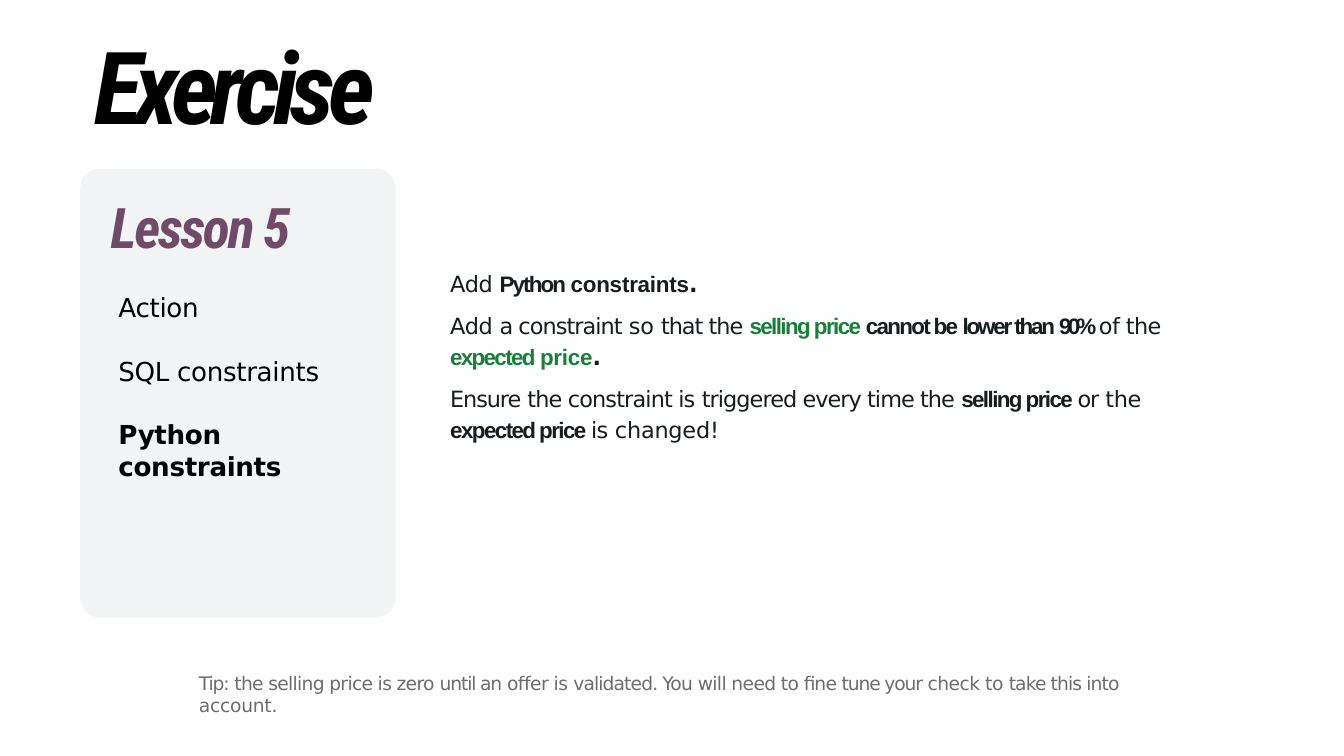
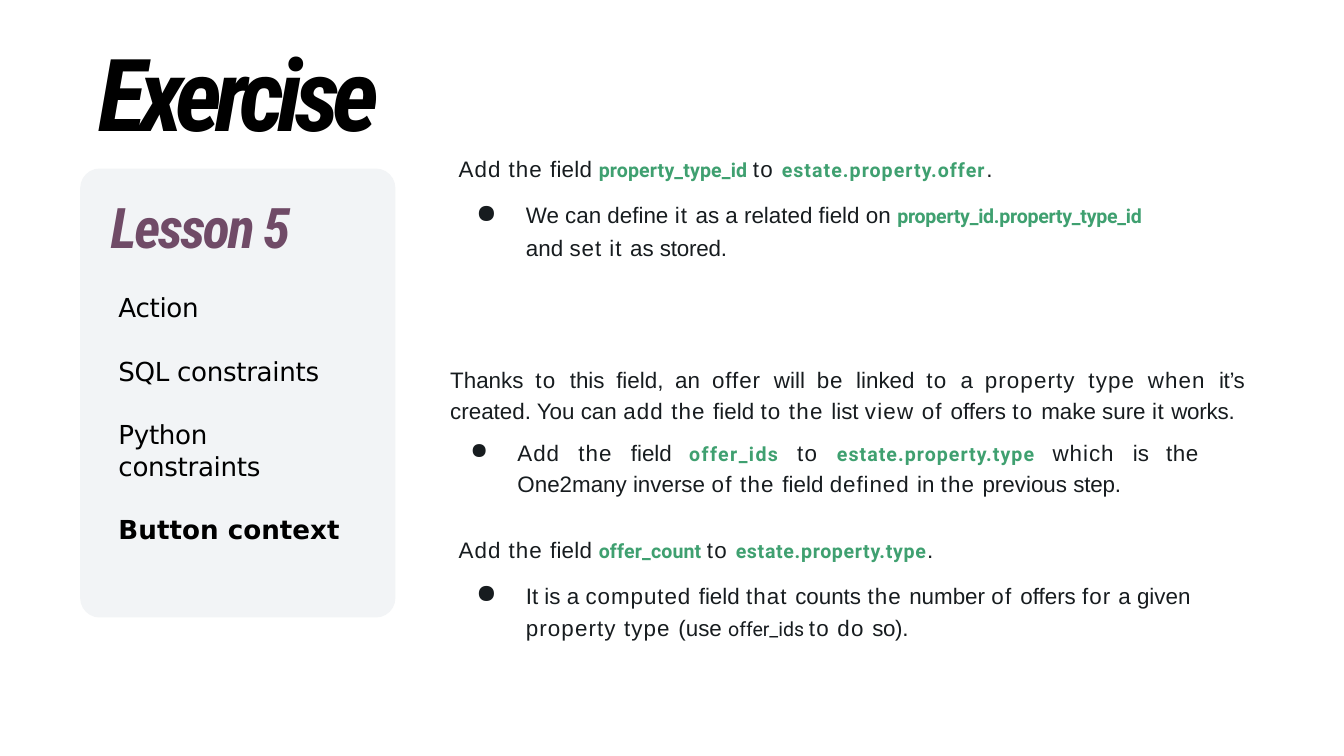
from dataclasses import dataclass

from lxml.etree import SubElement
from pptx import Presentation
from pptx.dml.color import RGBColor
from pptx.enum.shapes import MSO_SHAPE as Preset
from pptx.enum.text import MSO_AUTO_SIZE as AutoSize, PP_ALIGN as Align
from pptx.oxml.ns import qn
from pptx.util import Cm, Pt

# Shared colours and fonts
BLACK = RGBColor(0x00, 0x00, 0x00)
INK = RGBColor(0x17, 0x1C, 0x1F)
GREY = RGBColor(0x6B, 0x6D, 0x70)
PLUM = RGBColor(0x70, 0x4B, 0x67)
GREEN = RGBColor(0x17, 0x80, 0x38)
MINT = RGBColor(0x3F, 0xA0, 0x70)
PANEL = RGBColor(0xF2, 0xF4, 0xF6)
SANS, ARIAL, ROBOTO, CONDENSED = "DejaVu Sans", "Arial", "Roboto", "Roboto Condensed"


@dataclass(frozen=True)
class Style:
    font: str
    size: float
    color: RGBColor
    bold: bool = False
    italic: bool = False


@dataclass(frozen=True)
class Piece:
    text: str
    style: Style
    tracking: float = 0


@dataclass(frozen=True)
class Para:
    pieces: list[Piece]
    left: float = 0.03
    first: float = 0
    right: float = 0
    before: float = 0
    line: float | None = None
    bullet: int = 0  # bullet size in percent, 0 for none
    align: Align | None = None


@dataclass(frozen=True)
class Box:
    left: float
    top: float
    width: float
    height: float
    inset: float = 0.03


TITLE = Style(CONDENSED, 54, BLACK, True, True)
LESSON = Style(CONDENSED, 30, PLUM, True, True)
TOPIC = Style(SANS, 14, BLACK)
CURRENT_TOPIC = Style(SANS, 14, BLACK, True)
TIP = Style(SANS, 10, GREY)
PLAIN = Style(SANS, 12, INK)
STOP = Style(SANS, 12, INK, True)
STRONG = Style(ARIAL, 12, INK, True)
FIELD = Style(ARIAL, 12, GREEN, True)
BODY = Style(ARIAL, 12, INK)
CODE = Style(ROBOTO, 10.5, MINT, True)
DARK_CODE = Style(ROBOTO, 10.5, INK)


def add_paragraph(paragraph, para: Para) -> None:
    paragraph.alignment = para.align
    if para.before:
        paragraph.space_before = Pt(para.before)
    if para.line:
        paragraph.line_spacing = para.line
    properties = paragraph._p.get_or_add_pPr()
    properties.set("marL", str(Cm(para.left)))
    properties.set("marR", str(Cm(para.right)))
    properties.set("indent", str(Cm(para.first)))
    if para.bullet:
        SubElement(properties, qn("a:buSzPct"), val=str(para.bullet * 1000))
        SubElement(properties, qn("a:buChar"), char="●")
        tabs = SubElement(properties, qn("a:tabLst"))
        SubElement(tabs, qn("a:tab"), pos=str(Cm(para.left)), algn="l")
    for piece in para.pieces:
        run = paragraph.add_run()
        run.text = piece.text
        font = run.font
        font.name, font.size = piece.style.font, Pt(piece.style.size)
        font.bold, font.italic = piece.style.bold, piece.style.italic
        font.color.rgb = piece.style.color
        run._r.get_or_add_rPr().set("spc", str(round(piece.tracking * 100)))


def add_text(slide, box: Box, paras: list[Para]) -> None:
    shape = slide.shapes.add_textbox(Cm(box.left), Cm(box.top), Cm(box.width), Cm(box.height))
    frame = shape.text_frame
    frame.word_wrap = True
    frame.auto_size = AutoSize.SHAPE_TO_FIT_TEXT
    frame.margin_left = frame.margin_right = frame.margin_bottom = 0
    frame.margin_top = Cm(box.inset)
    for index, para in enumerate(paras):
        add_paragraph(frame.add_paragraph() if index else frame.paragraphs[0], para)


def add_lesson_panel(slide, topics: list[str], height: float) -> None:
    """Rounded panel with the lesson name and its topics, the last one current."""
    panel = slide.shapes.add_shape(Preset.ROUNDED_RECTANGLE, Cm(1.53), Cm(3.2), Cm(5.93), Cm(8.46))
    panel.adjustments[0] = 0.06
    panel.shadow.inherit = False
    panel.fill.solid()
    panel.fill.fore_color.rgb = PANEL
    panel.line.color.rgb = PANEL
    panel.line.width = Pt(0.75)
    paras = [Para([Piece("Lesson 5", LESSON, -1.2)])]
    for topic in topics:
        style = CURRENT_TOPIC if topic == topics[-1] else TOPIC
        tracking = 0 if topic == "Button context" else -0.2
        paras.append(Para([Piece(topic, style, tracking)], left=0.18, before=17.2))
    add_text(slide, Box(2.06, 3.61, 4.67, height), paras)


def add_exercise(presentation, topics: list[str], panel_height: float,
                 title_left: float, title_inset: float):
    """Slide with the common title and lesson panel."""
    slide = presentation.slides.add_slide(presentation.slide_layouts[6])
    add_text(slide, Box(0.51, 0.41, 7.87, 2.46, title_inset),
             [Para([Piece("Exercise", TITLE, -3.8)], left=title_left)])
    add_lesson_panel(slide, topics, panel_height)
    return slide


def field_sentence(field: str, model: str, field_tracking: float, model_tracking: float) -> Para:
    return Para([
        Piece("Add the ", BODY, 0.55), Piece("field ", BODY, 0.1),
        Piece(f"{field} ", CODE, field_tracking), Piece("to ", BODY, 0.7),
        Piece(model, CODE, model_tracking), Piece(".", BODY),
    ])


def build_python_constraints(presentation) -> None:
    slide = add_exercise(presentation, ["Action", "SQL constraints", "Python constraints"],
                         4.95, 1.27, 0.03)
    # Task
    add_text(slide, Box(8.48, 4.06, 15.04, 4.32, 1.04), [
        Para([Piece("Add ", PLAIN, -0.2), Piece("Python ", STRONG, -1),
              Piece("constraints", STRONG, -0.1), Piece(".", STOP, -0.1)]),
        Para([Piece("Add ", PLAIN, -0.2), Piece("a constraint ", PLAIN, -0.5),
              Piece("so ", PLAIN, -0.1), Piece("that the ", PLAIN, -0.55),
              Piece("selling price ", FIELD, -0.85), Piece("cannot be ", STRONG, -0.9),
              Piece("lower than ", STRONG, -1.15), Piece("90% ", STRONG, -2),
              Piece("of the ", PLAIN, -0.3), Piece("expected ", FIELD, -0.9),
              Piece("price", FIELD, -0.1), Piece(".", STOP, -0.1)], before=6, line=1.15),
        Para([Piece("Ensure ", PLAIN, -0.6), Piece("the constraint is ", PLAIN, -0.45),
              Piece("triggered every time the ", PLAIN, -0.5),
              Piece("selling price ", STRONG, -0.85), Piece("or ", PLAIN, -0.6),
              Piece("the", PLAIN, -0.2)], before=8.2),
        Para([Piece("expected price ", STRONG, -0.85), Piece("is ", PLAIN, -0.3),
              Piece("changed!", PLAIN, -0.1)], before=2.1),
    ])
    # Tip
    add_text(slide, Box(3.73, 12.67, 19.35, 0.48), [Para([
        Piece("Tip: ", TIP, -0.6), Piece("the selling price is zero ", TIP, -0.35),
        Piece("until an ", TIP, -0.6), Piece("offer is ", TIP, -0.25),
        Piece("validated. You ", TIP, -0.45), Piece("will need to fine", TIP, -0.3),
        Piece(" tune your ", TIP, -0.6), Piece("check to ", TIP, -0.25),
        Piece("take this into ", TIP, -0.45), Piece("account.", TIP, -0.1)], right=0.5)])


def build_button_context(presentation) -> None:
    topics = ["Action", "SQL constraints", "Python constraints", "Button context"]
    slide = add_exercise(presentation, topics, 6.17, 1.35, 0.18)
    # First field
    add_text(slide, Box(8.64, 2.9, 11.05, 0.58),
             [field_sentence("property_type_id", "estate.property.offer", 0.1, 0.6)])
    add_text(slide, Box(8.97, 3.66, 14.1, 1.3, 0.15), [
        Para([Piece("We can define ", BODY), Piece("it ", BODY, 0.6),
              Piece("as a related field on ", BODY),
              Piece("property_id.property_type_id", CODE, -0.1)],
             left=0.97, first=-0.94, bullet=117),
        Para([Piece("and ", BODY), Piece("set it ", BODY, 0.55), Piece("as ", BODY),
              Piece("stored.", BODY, -0.1)], left=0.97, before=3),
    ])
    # Explanation and second field
    add_text(slide, Box(8.48, 6.81, 15.04, 4.47), [
        Para([Piece("Thanks ", BODY), Piece("to ", BODY, 0.7), Piece("this field, an ", BODY),
              Piece("offer ", BODY, 0.5), Piece("will ", BODY), Piece("be ", BODY, 0.5),
              Piece("linked ", BODY), Piece("to ", BODY, 0.7), Piece("a ", BODY),
              Piece("property type when ", BODY, 0.6), Piece("it’s ", BODY, -0.2),
              Piece("created. You can ", BODY), Piece("add the ", BODY, 0.6),
              Piece("field ", BODY), Piece("to the ", BODY, 0.65), Piece("list ", BODY),
              Piece("view of ", BODY, 0.65), Piece("offers ", BODY), Piece("to ", BODY, 0.7),
              Piece("make sure ", BODY), Piece("it ", BODY, 0.3),
              Piece("works.", BODY, -0.1)], line=1.15, align=Align.JUSTIFY),
        Para([Piece("Add the ", BODY, 0.55), Piece("field ", BODY),
              Piece("offer_ids ", CODE, 0.8), Piece("to ", BODY, 0.7),
              Piece("estate.property.type ", CODE, 0.6), Piece("which ", BODY, 0.5),
              Piece("is ", BODY), Piece("the ", BODY, 0.3), Piece("One2many inverse ", BODY),
              Piece("of the ", BODY, 0.65), Piece("field ", BODY),
              Piece("defined ", BODY, 0.5), Piece("in ", BODY), Piece("the ", BODY, 0.6),
              Piece("previous ", BODY), Piece("step.", BODY, -0.1)],
             left=1.3, first=-0.89, right=0.86, before=6, line=1.15, bullet=100,
             align=Align.JUSTIFY),
    ])
    # Third field
    add_text(slide, Box(8.64, 9.86, 14.38, 2.31, 0.28), [
        field_sentence("offer_count", "estate.property.type", 0.1, 0.4),
        Para([Piece("It is a ", BODY), Piece("computed ", BODY, 0.5), Piece("field ", BODY),
              Piece("that ", BODY, 0.6), Piece("counts ", BODY), Piece("the ", BODY, 0.6),
              Piece("number ", BODY), Piece("of ", BODY, 0.7), Piece("offers ", BODY),
              Piece("for ", BODY, 0.5), Piece("a given ", BODY),
              Piece("property type ", BODY, 0.6), Piece("(use ", BODY),
              Piece("offer_ids ", DARK_CODE), Piece("to do ", BODY, 0.65),
              Piece("so).", BODY, -0.2)],
             left=1.3, first=-0.94, before=7.1, line=1.21, bullet=117),
    ])


def main() -> None:
    presentation = Presentation()
    presentation.slide_width, presentation.slide_height = Cm(25.4), Cm(14.29)
    build_python_constraints(presentation)
    build_button_context(presentation)
    presentation.save("out.pptx")


if __name__ == "__main__":
    main()
